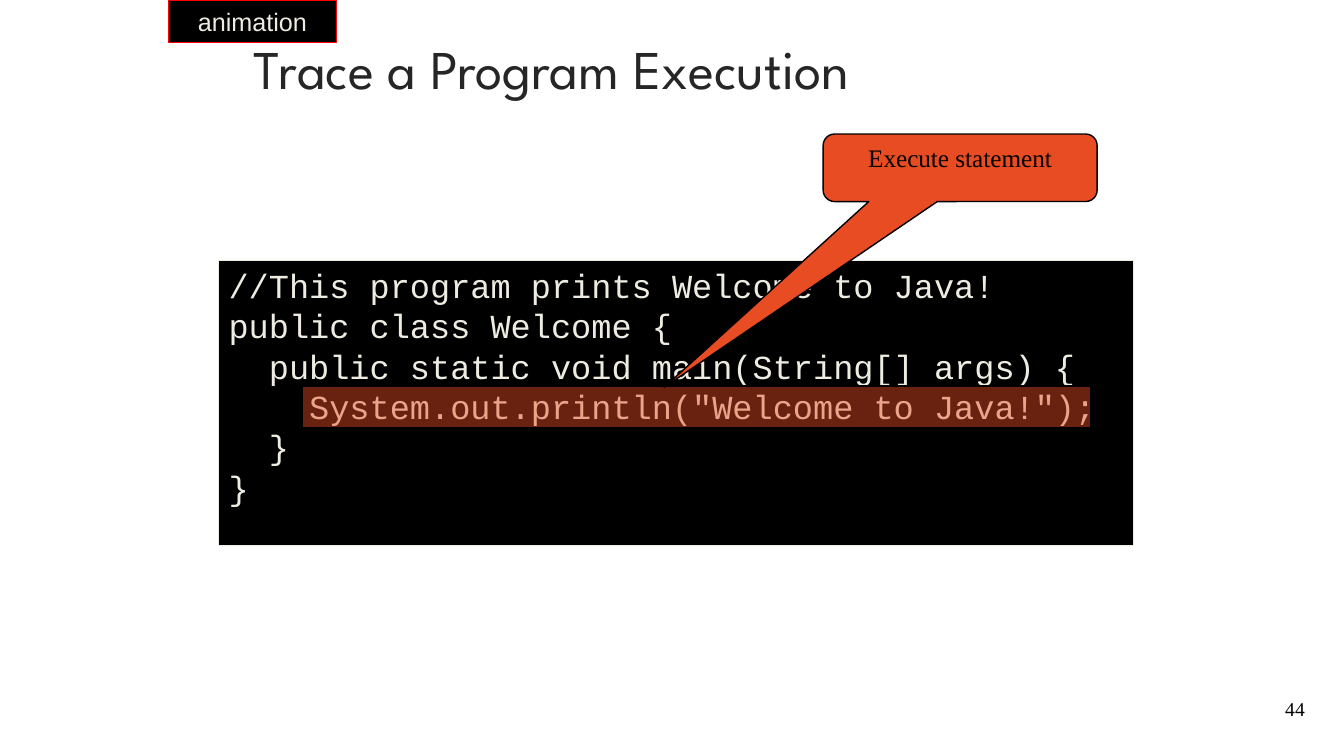
from pptx import Presentation
from pptx.dml.color import RGBColor
from pptx.enum.shapes import MSO_SHAPE
from pptx.enum.text import MSO_ANCHOR, PP_ALIGN
from pptx.oxml.ns import qn
from pptx.util import Pt
from lxml import etree

RECT, CALLOUT = MSO_SHAPE.RECTANGLE, MSO_SHAPE.ROUNDED_RECTANGULAR_CALLOUT
LEFT, CENTER, RIGHT = PP_ALIGN.LEFT, PP_ALIGN.CENTER, PP_ALIGN.RIGHT
TOP, MIDDLE, BOTTOM = MSO_ANCHOR.TOP, MSO_ANCHOR.MIDDLE, MSO_ANCHOR.BOTTOM
PX = 9144  # EMU per px, 100 px to the inch


class Theme:
    black, cream, ink = "000000", "EEECE1", "262626"
    orange, red = "E84C22", "FF0000"
    title = {"name": "League Spartan", "size": Pt(39)}
    code = {"name": "Courier New", "size": Pt(24)}
    callout = {"name": "Times New Roman", "size": Pt(18)}
    tag = {"name": "Arial", "size": Pt(18)}
    number = {"name": "Times New Roman", "size": Pt(14)}


def add_panel(kind, place, fill, line, width):
    panel = page.shapes.add_shape(kind, *(n * PX for n in place))
    panel.shadow.inherit = False
    panel.fill.solid()
    panel.fill.fore_color.rgb = RGBColor.from_string(fill)
    panel.line.color.rgb = RGBColor.from_string(line)
    panel.line.width = Pt(width)
    return panel


def write(box, lines, font, color, anchor, align, para_format=None, wrap=True):
    frame = box.text_frame
    frame.word_wrap = wrap
    frame.vertical_anchor = anchor
    for index, line in enumerate(lines):
        para = frame.paragraphs[0] if index == 0 else frame.add_paragraph()
        para.alignment = align
        for key, value in (para_format or {}).items():
            setattr(para, key, value)
        span = para.add_run()
        span.text = line
        for key, value in font.items():
            setattr(span.font, key, value)
        span.font.color.rgb = RGBColor.from_string(color)


deck = Presentation()
deck.slide_width, deck.slide_height = 1334 * PX, 750 * PX
page = deck.slides.add_slide(deck.slide_layouts[6])

title = page.shapes.add_textbox(*(n * PX for n in (242, 42, 850, 58)))
write(title, ["Trace a Program Execution"], Theme.title, Theme.ink, MIDDLE, LEFT,
      {"line_spacing": 0.9})

number = page.shapes.add_textbox(*(n * PX for n in (1145, 690, 160, 30)))
write(number, ["44"], Theme.number, Theme.black, BOTTOM, RIGHT)

program = [
    "//This program prints Welcome to Java!",
    "public class Welcome {",
    "  public static void main(String[] args) {",
    "    System.out.println(\"Welcome to Java!\");",
    "  }",
    "}",
]
code = add_panel(RECT, (217, 258, 908, 283), Theme.black, Theme.cream, 0.75)
write(code, program, Theme.code, Theme.cream, TOP, LEFT, {"line_spacing": Pt(28.8)})

highlight = add_panel(RECT, (300, 383, 783, 41), Theme.orange, Theme.black, 1)
tint = highlight.fill._xPr.find(qn("a:solidFill"))[0]
etree.SubElement(tint, qn("a:alpha")).set("val", "45000")

callout = add_panel(CALLOUT, (817, 133, 272, 67), Theme.orange, Theme.black, 1)
for index, value in enumerate((-1.08, 3.25, 0.17)):
    callout.adjustments[index] = value
write(callout, ["Execute statement"], Theme.callout, Theme.black, TOP, CENTER)

tag = add_panel(RECT, (167, 0, 167, 42), Theme.black, Theme.red, 1)
write(tag, ["animation"], Theme.tag, Theme.cream, MIDDLE, CENTER, wrap=False)

deck.save("out.pptx")
